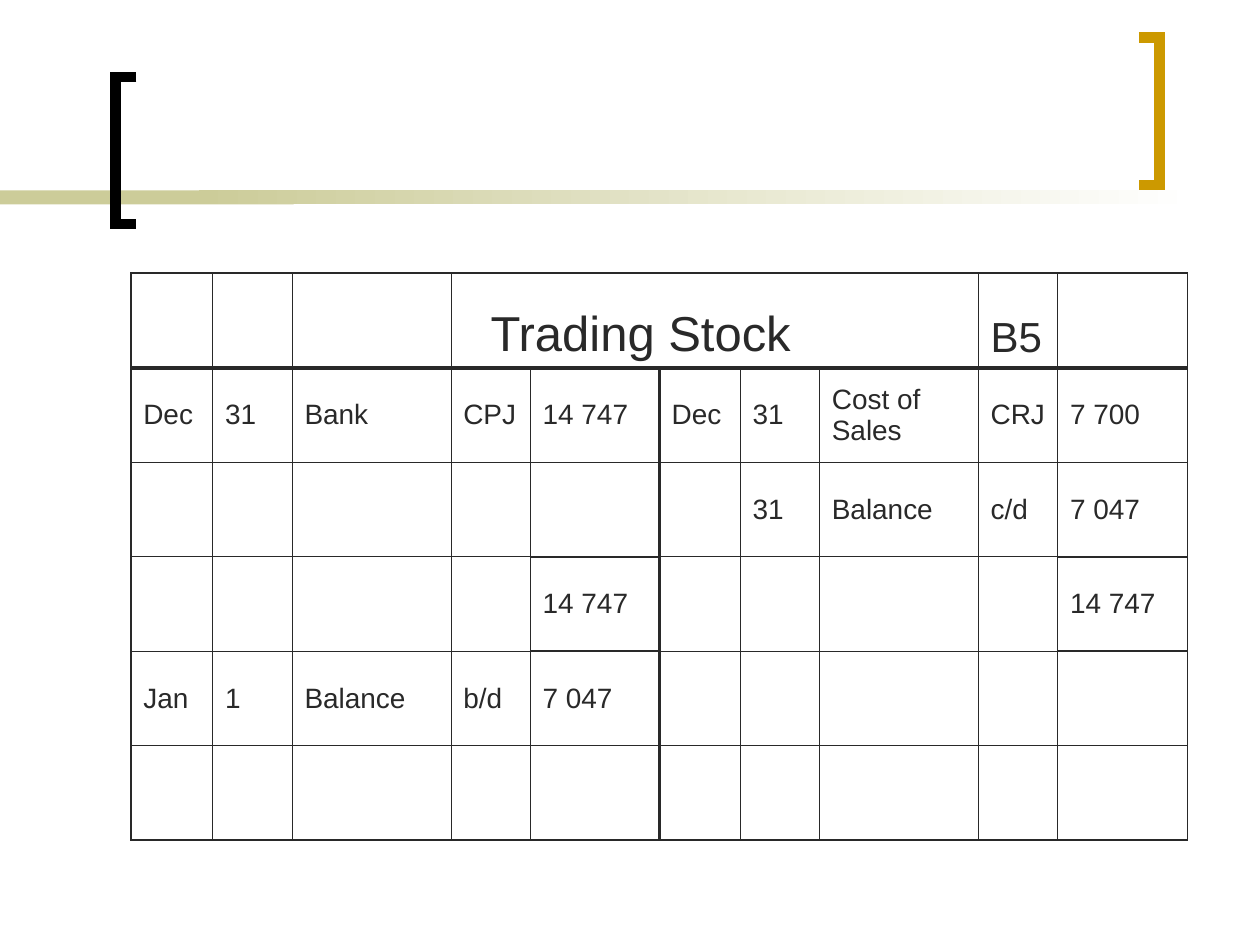
from lxml import etree
from pptx import Presentation
from pptx.dml.color import RGBColor
from pptx.enum.shapes import MSO_SHAPE as Shape
from pptx.enum.text import MSO_ANCHOR as Anchor
from pptx.oxml.ns import qn
from pptx.util import Cm, Pt

INK = "292929"
THIN, OUTER, TOTAL, HEAVY = 0.45, 1.08, 1.47, 2.21


def color(hex_code):
    return RGBColor.from_string(hex_code)


def write_cell(cell, text, size=16, anchor=Anchor.MIDDLE, left=0.25):
    cell.vertical_anchor = anchor
    cell.margin_left = Cm(left)
    span = cell.text_frame.paragraphs[0].add_run()
    span.text = text
    span.font.name = "Arial"
    span.font.size = Pt(size)
    span.font.color.rgb = color(INK)


deck = Presentation()
deck.slide_width, deck.slide_height = Cm(25.4), Cm(19.05)
page = deck.slides.add_slide(deck.slide_layouts[6])

# Horizontal band: a solid start, then a fade to white
solid = page.shapes.add_shape(Shape.RECTANGLE, 0, Cm(3.84), Cm(5.92), Cm(0.28))
solid.fill.solid()
solid.fill.fore_color.rgb = color("CCCC99")
fade = page.shapes.add_shape(Shape.RECTANGLE, Cm(4.01), Cm(3.84), Cm(20.12), Cm(0.28))
fade.fill.gradient()
fade.fill.gradient_angle = 180
for stop, shade in zip(fade.fill.gradient_stops, ("FFFFFF", "CCCC99")):
    stop.color.rgb = color(shade)
for band in (solid, fade):
    band.line.fill.background()
    band.shadow.inherit = False

# Title brackets: open end, spine, top, colour
for tip, spine, top, shade in ((2.75, 2.33, 1.55, "000000"), (22.96, 23.38, 0.76, "CC9900")):
    bottom = top + 2.97
    outline = page.shapes.build_freeform(Cm(tip), Cm(top))
    outline.add_line_segments(
        [(Cm(spine), Cm(top)), (Cm(spine), Cm(bottom)), (Cm(tip), Cm(bottom))], close=False)
    bracket = outline.convert_to_shape()
    bracket.fill.background()
    bracket.shadow.inherit = False
    bracket.line.color.rgb = color(shade)
    bracket.line.width = Pt(6)
    etree.SubElement(bracket.line._ln, qn("a:miter"), lim="800000")

# Ledger account
widths = (1.65, 1.6, 3.2, 1.6, 2.6, 1.63, 1.6, 3.2, 1.6, 2.62)
entries = (
    ("Dec", "31", "Bank", "CPJ", "14 747", "Dec", "31", "Cost of Sales", "CRJ", "7 700"),
    ("", "", "", "", "", "", "31", "Balance", "c/d", "7 047"),
    ("", "", "", "", "14 747", "", "", "", "", "14 747"),
    ("Jan", "1", "Balance", "b/d", "7 047", "", "", "", "", ""),
    ("",) * 10,
)
frame = page.shapes.add_table(6, 10, Cm(2.64), Cm(5.51), Cm(21.3), Cm(11.43))
ledger = frame.table
ledger.first_row = ledger.horz_banding = False
for column, width in zip(ledger.columns, widths):
    column.width = Cm(width)

ledger.cell(0, 3).merge(ledger.cell(0, 7))
write_cell(ledger.cell(0, 3), "Trading Stock", size=28, anchor=Anchor.BOTTOM, left=0.8)
write_cell(ledger.cell(0, 8), "B5", size=24, anchor=Anchor.BOTTOM)
for row, entry in enumerate(entries, start=1):
    for col, text in enumerate(entry):
        if text:
            write_cell(ledger.cell(row, col), text)

# Line weights by position; the total rows are ruled in the amount columns
vertical = {0: OUTER, 5: HEAVY, 10: OUTER}
horizontal = {0: OUTER, 1: HEAVY, 6: OUTER}
amount_rules = {3: TOTAL, 4: TOTAL}
for row in range(6):
    for col in range(10):
        cell = ledger.cell(row, col)
        if cell.is_spanned:
            continue
        across = {**horizontal, **amount_rules} if col in (4, 9) else horizontal
        weights = {
            "a:lnL": vertical.get(col, THIN),
            "a:lnR": vertical.get(col + 1, THIN),
            "a:lnT": across.get(row, THIN),
            "a:lnB": across.get(row + 1, THIN),
        }
        properties = cell._tc.get_or_add_tcPr()
        for tag, weight in weights.items():
            edge = etree.SubElement(properties, qn(tag), w=str(Pt(weight)))
            paint = etree.SubElement(edge, qn("a:solidFill"))
            etree.SubElement(paint, qn("a:srgbClr"), val=INK)
        cell.fill.background()

deck.save("out.pptx")
